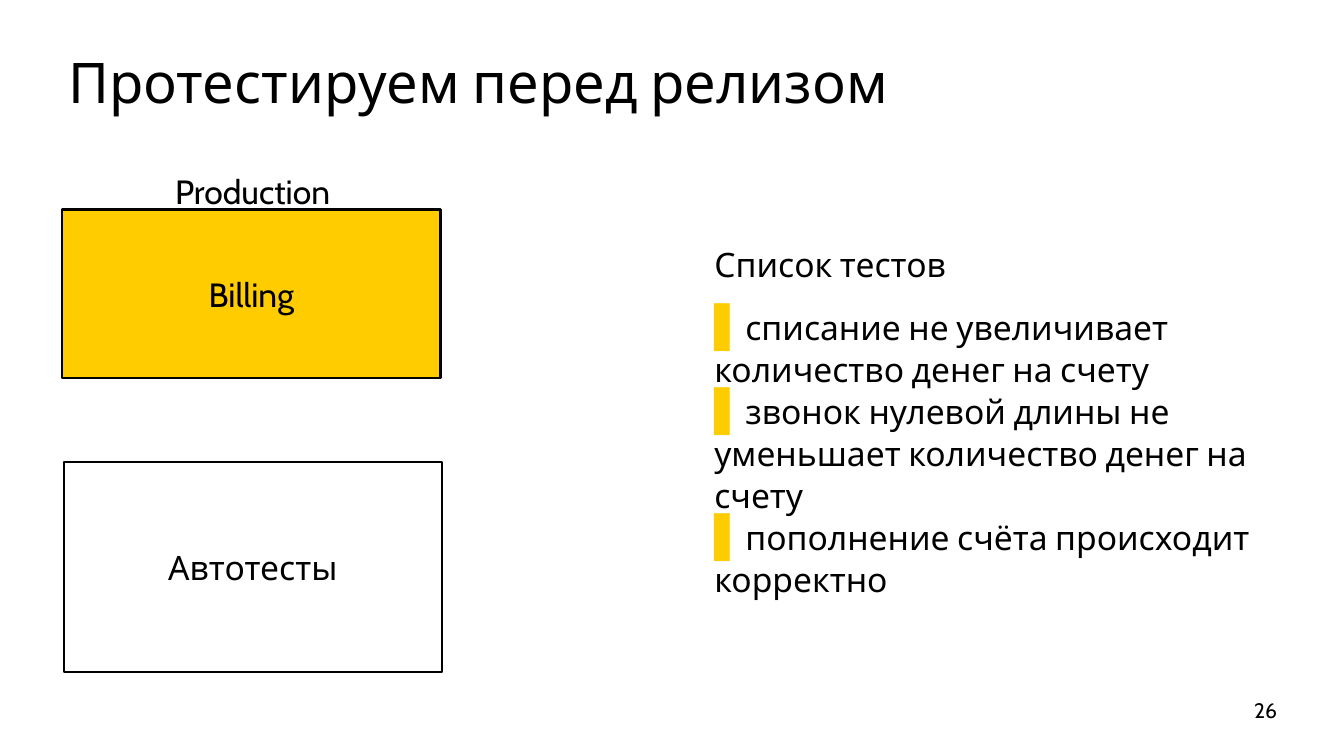
import pptx
import pptx.util
import lxml.etree
from pptx.dml.color import RGBColor
from pptx.enum.shapes import MSO_SHAPE
from pptx.enum.text import MSO_ANCHOR, MSO_AUTO_SIZE, PP_ALIGN
from pptx.oxml.ns import qn

Inches, Pt = pptx.util.Inches, pptx.util.Pt
FONT = "Cabin"
COLORS = {"ink": "000000", "accent": "FFCC00"}
TESTS = [
    "списание не увеличивает количество денег на счету",
    "звонок нулевой длины не уменьшает количество денег на счету",
    "пополнение счёта происходит корректно",
]


def color(name):
    return RGBColor.from_string(COLORS[name])


def write(frame, text, size=48, align=PP_ALIGN.LEFT, anchor=MSO_ANCHOR.TOP,
          lead=None, before=0, after=0, wrap=True, more=False):
    """Fill the frame's first paragraph, or add one when more is set."""
    if more:
        para = frame.add_paragraph()
    else:
        para = frame.paragraphs[0]
        frame.word_wrap = wrap
        frame.vertical_anchor = anchor
    para.alignment = align
    para.space_before, para.space_after = Pt(before), Pt(after)
    if lead:
        para.line_spacing = Pt(lead)
    run = para.add_run()
    run.text = text
    run.font.name, run.font.size = FONT, Pt(size)
    run.font.color.rgb = color("ink")
    return para


def add_bullet(para):
    props = para._p.get_or_add_pPr()
    props.set("marL", "0")
    props.set("indent", str(Inches(-0.79)))
    tint = lxml.etree.SubElement(props, qn("a:buClr"))
    lxml.etree.SubElement(tint, qn("a:srgbClr"), val=COLORS["accent"])
    lxml.etree.SubElement(props, qn("a:buSzPct"), val="120000")
    lxml.etree.SubElement(props, qn("a:buFont"), typeface=FONT)
    lxml.etree.SubElement(props, qn("a:buChar"), char="▌")


def add_title(slide, left, top, width, height, text):
    title = slide.shapes.title
    title.left, title.top = Inches(left), Inches(top)
    title.width, title.height = Inches(width), Inches(height)
    title.text_frame.auto_size = MSO_AUTO_SIZE.NONE
    write(title.text_frame, text, size=80, lead=100)


def add_label(slide, left, top, width, height, text, **fmt):
    box = slide.shapes.add_textbox(*map(Inches, (left, top, width, height)))
    write(box.text_frame, text, **fmt)
    return box.text_frame


def add_block(slide, left, top, width, height, text, line, fill=None):
    block = slide.shapes.add_shape(
        MSO_SHAPE.RECTANGLE, *map(Inches, (left, top, width, height)))
    block.shadow.inherit = False
    if fill:
        block.fill.solid()
        block.fill.fore_color.rgb = color(fill)
    else:
        block.fill.background()
    block.line.color.rgb = color("ink")
    block.line.width = Pt(line)
    write(block.text_frame, text, align=PP_ALIGN.CENTER,
          anchor=MSO_ANCHOR.MIDDLE)


def add_tests(slide, left, top, width, height, head, items):
    frame = add_label(slide, left, top, width, height, head, lead=60,
                      before=30, after=30, anchor=MSO_ANCHOR.MIDDLE)
    frame.margin_left = 0
    for item in items:
        add_bullet(write(frame, item, lead=60, more=True))


def add_stack(slide, left, top):
    """Place the production block with its caption above the tests block."""
    name = add_label(slide, left + 1.95, top, 3.66, 0.94, "Production",
                     align=PP_ALIGN.CENTER, wrap=False)
    name.auto_size = MSO_AUTO_SIZE.SHAPE_TO_FIT_TEXT
    add_block(slide, left, top + 0.81, 7.51, 3.34, "Billing", 4, "accent")
    add_block(slide, left + 0.04, top + 5.82, 7.49, 4.17, "Автотесты", 3)


def main():
    deck = pptx.Presentation()
    deck.slide_width, deck.slide_height = Inches(26.66), Inches(15)
    slide = deck.slides.add_slide(deck.slide_layouts.get_by_name("Title Only"))
    add_title(slide, 1.25, 0.83, 24.2, 1.65, "Протестируем перед релизом")
    add_stack(slide, 1.23, 3.35)
    add_tests(slide, 14.17, 3.33, 11.27, 10.02, "Список тестов", TESTS)
    add_label(slide, 24.18, 13.88, 1.25, 0.42, "26", size=30,
              align=PP_ALIGN.RIGHT, anchor=MSO_ANCHOR.MIDDLE)
    deck.save("out.pptx")


if __name__ == "__main__":
    main()
